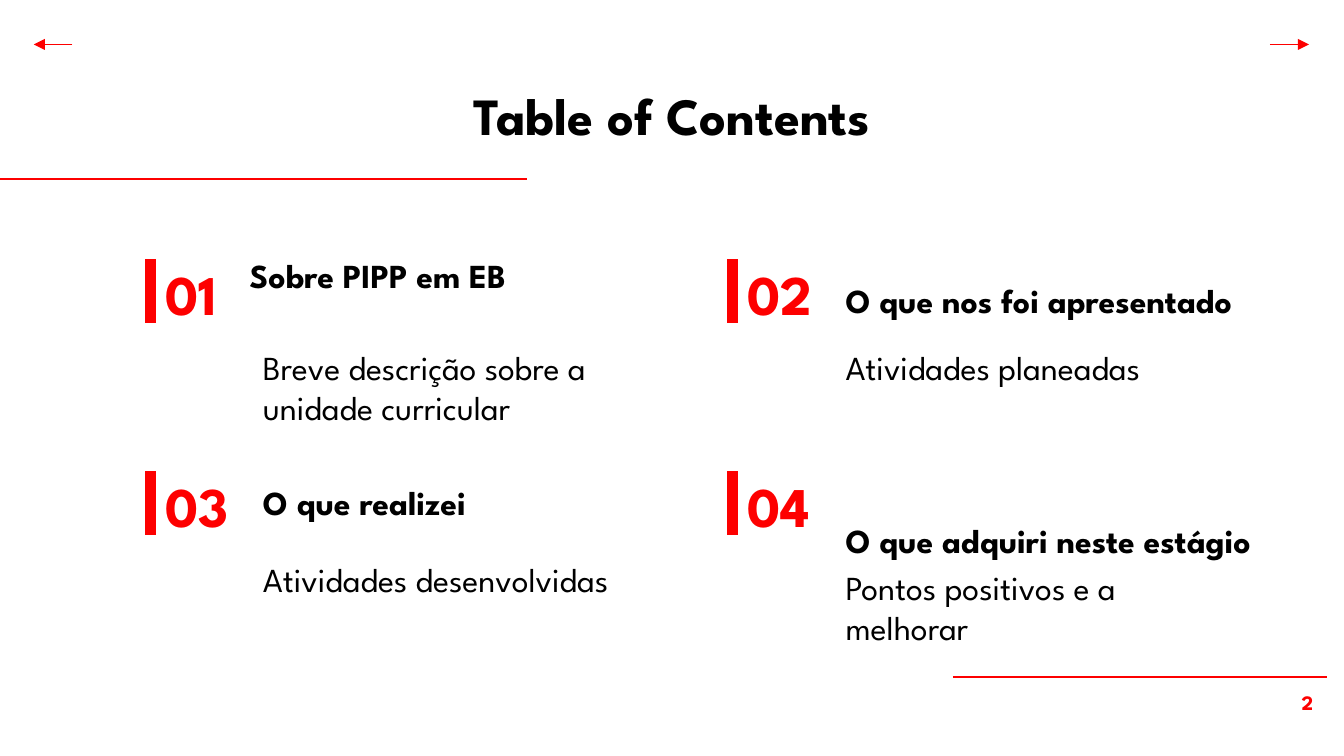
from lxml.etree import SubElement
from pptx import Presentation
from pptx.dml.color import RGBColor
from pptx.enum.shapes import MSO_CONNECTOR
from pptx.enum.text import MSO_ANCHOR, PP_ALIGN
from pptx.oxml.ns import qn
from pptx.util import Cm, Pt

FONT = "League Spartan"
RED = "FD0000"
BLACK = "000000"
INSET = 0.25

TITLE = "Table of Contents"
PAGE_NUMBER = "2"
SECTIONS = [
    {"number": "01", "heading": "Sobre PIPP em EB", "heading_left": 1.63, "heading_top": -0.28,
     "body": "Breve descrição sobre a unidade curricular", "body_top": 1.65},
    {"number": "02", "heading": "O que nos foi apresentado", "heading_left": 1.88, "heading_top": 0.18,
     "body": "Atividades planeadas", "body_top": 1.65},
    {"number": "03", "heading": "O que realizei", "heading_left": 1.88, "heading_top": 0,
     "body": "Atividades desenvolvidas", "body_top": 1.65},
    {"number": "04", "heading": "O que adquiri neste estágio", "heading_left": 1.88, "heading_top": 0.71,
     "body": "Pontos positivos e a melhorar", "body_top": 1.8},
]
RULES = [
    (-0.05, 3.38, 9.96, 3.38),
    (18.01, 12.8, 25.07, 12.8),
]
ARROWS = [
    (24, 0.84, 24.74, 0.84),
    (1.37, 0.84, 0.64, 0.84),
]
GRID_LEFT, GRID_TOP = 2.84, 4.65
COLUMN_STEP, ROW_STEP = 11.01, 4.01


def color(value):
    return RGBColor.from_string(value)


def add_text(slide, text, left, top, width, height, size, fill=BLACK, bold=True,
             align=PP_ALIGN.LEFT, anchor=MSO_ANCHOR.TOP, left_inset=INSET):
    shape = slide.shapes.add_textbox(Cm(left), Cm(top), Cm(width), Cm(height))
    frame = shape.text_frame
    frame.word_wrap = True
    frame.vertical_anchor = anchor
    frame.margin_left = Cm(left_inset)
    frame.margin_top = frame.margin_right = frame.margin_bottom = Cm(INSET)
    paragraph = frame.paragraphs[0]
    paragraph.alignment = align
    run = paragraph.add_run()
    run.text = text
    run.font.name = FONT
    run.font.size = Pt(size)
    run.font.bold = bold
    run.font.color.rgb = color(fill)


def add_line(slide, ends, width=0.75, arrow=False):
    connector = slide.shapes.add_connector(MSO_CONNECTOR.STRAIGHT, *[Cm(value) for value in ends])
    connector.line.color.rgb = color(RED)
    connector.line.width = Pt(width)
    if arrow:
        SubElement(connector.line._get_or_add_ln(), qn("a:tailEnd"), type="triangle")
    SubElement(connector._element.spPr, qn("a:effectLst"))


def add_section(slide, index, section):
    row, column = divmod(index, 2)
    left = GRID_LEFT + column * COLUMN_STEP
    top = GRID_TOP + row * ROW_STEP
    add_line(slide, (left, top + 0.25, left, top + 1.45), width=6)
    add_text(slide, section["number"], left + 0.28, top, 1.6, 1.65, 30, fill=RED, left_inset=0)
    add_text(slide, section["heading"], left + section["heading_left"], top + section["heading_top"],
             8.23, 1.47, 18, anchor=MSO_ANCHOR.BOTTOM)
    add_text(slide, section["body"], left + 1.88, top + section["body_top"], 7.54, 1.8, 18, bold=False)


def main():
    presentation = Presentation()
    presentation.slide_width = Cm(25.4)
    presentation.slide_height = Cm(14.29)
    slide = presentation.slides.add_slide(presentation.slide_layouts[6])
    for rule in RULES:
        add_line(slide, rule)
    add_text(slide, PAGE_NUMBER, 23.44, 12.8, 1.63, 1.09, 11, fill=RED, align=PP_ALIGN.RIGHT)
    add_text(slide, TITLE, 4.09, 1.32, 17.22, 1.6, 28, align=PP_ALIGN.CENTER)
    for index, section in enumerate(SECTIONS):
        add_section(slide, index, section)
    for arrow in ARROWS:
        add_line(slide, arrow, arrow=True)
    presentation.save("out.pptx")


if __name__ == "__main__":
    main()
